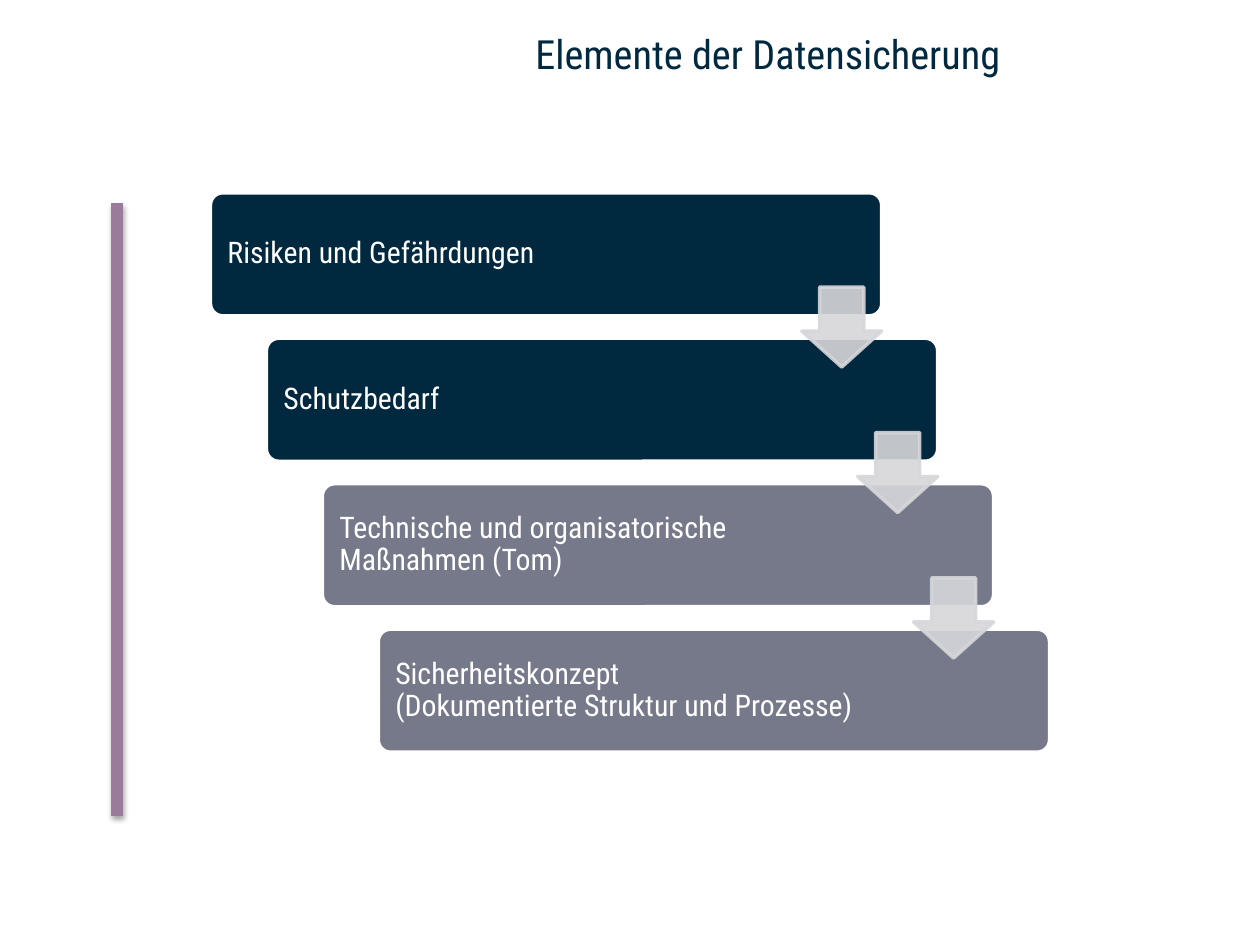
from lxml.etree import SubElement
from pptx import Presentation
from pptx.dml.color import RGBColor
from pptx.enum.shapes import MSO_CONNECTOR, MSO_SHAPE
from pptx.enum.text import MSO_ANCHOR, PP_ALIGN
from pptx.oxml.ns import qn
from pptx.util import Inches, Pt

WIDE, HIGH = Inches(10), Inches(7.5)
FONT = "Roboto Condensed"
HUES = {"navy": "00283F", "gray": "76798A", "pale": "D6D7DA",
        "mauve": "9A7B9B", "white": "FFFFFF", "black": "000000"}
STEPS = [("Risiken und Gefährdungen", "navy"),
         ("Schutzbedarf", "navy"),
         ("Technische und organisatorische Maßnahmen (Tom)", "gray"),
         ("Sicherheitskonzept\v(Dokumentierte Struktur und Prozesse)", "gray")]


def hue(name):
    return RGBColor.from_string(HUES[name])


def share(left, top, wide, high):
    """Turn shares of the slide's size into a box."""
    return int(left * WIDE), int(top * HIGH), int(wide * WIDE), int(high * HIGH)


def write(frame, text, size, color):
    frame.word_wrap = True
    frame.text = text
    para = frame.paragraphs[0]
    para.alignment = PP_ALIGN.LEFT
    for run in para.runs:
        run.font.name = FONT
        run.font.size = Pt(size)
        run.font.color.rgb = hue(color)
    return para


def paint(shape, fill, line):
    shape.shadow.inherit = False
    shape.fill.solid()
    shape.fill.fore_color.rgb = hue(fill)
    shape.line.color.rgb = hue(line)
    shape.line.width = Pt(2)


def fade(shape, part):
    """Make fill and line of a shape opaque only in part."""
    for color in shape._element.spPr.iter(qn("a:srgbClr")):
        SubElement(color, qn("a:alpha"), val=str(int(part * 100000)))


def add_title(slide, box):
    frame = slide.shapes.add_textbox(*box).text_frame
    write(frame, "Elemente der Datensicherung", 23, "navy")


def add_bar(slide, box):
    left, top, wide, high = box
    bar = slide.shapes.add_connector(MSO_CONNECTOR.STRAIGHT,
                                     left, top, left + wide, top + high)
    bar.line.color.rgb = hue("mauve")
    bar.line.width = Pt(6.5)
    effects = SubElement(bar._element.spPr, qn("a:effectLst"))
    shade = SubElement(effects, qn("a:outerShdw"), blurRad=str(Pt(3.1)),
                       dist=str(Pt(1.8)), dir="5400000", rotWithShape="0")
    color = SubElement(shade, qn("a:srgbClr"), val=HUES["black"])
    SubElement(color, qn("a:alpha"), val="35000")


def add_step(shapes, box, text, fill):
    step = shapes.add_shape(MSO_SHAPE.ROUNDED_RECTANGLE, *box)
    step.adjustments[0] = 0.1
    paint(step, fill, "white")
    frame = step.text_frame
    frame.vertical_anchor = MSO_ANCHOR.MIDDLE
    frame.margin_left = int(box[2] * 0.02)
    frame.margin_right = int(box[2] * 0.22)
    write(frame, text, 17, "white").line_spacing = 0.9


def add_arrow(shapes, box):
    arrow = shapes.add_shape(MSO_SHAPE.DOWN_ARROW, *box)
    arrow.adjustments[0] = 0.55
    arrow.adjustments[1] = 0.45
    paint(arrow, "pale", "pale")
    fade(arrow, 0.9)


def add_stairs(slide, box):
    """Steps run from corner to corner; an arrow spans each gap."""
    left, top, wide, high = box
    shapes = slide.shapes.add_group_shape().shapes
    span, rise = int(wide * 0.8), int(high * 0.22)
    last = len(STEPS) - 1
    over, down = (wide - span) // last, (high - rise) // last
    size = int(rise * 0.65)
    for i, (text, fill) in enumerate(STEPS):
        add_step(shapes, (left + i * over, top + i * down, span, rise),
                 text, fill)
    for i in range(last):
        mid = top + i * down + (rise + down) // 2
        add_arrow(shapes, (left + i * over + span - size,
                           mid - size // 2, size, size))


def main():
    deck = Presentation()
    deck.slide_width, deck.slide_height = WIDE, HIGH
    slide = deck.slides.add_slide(deck.slide_layouts[6])
    add_bar(slide, share(0.093, 0.215, 0, 0.648))
    add_title(slide, share(0.415, 0.025, 0.485, 0.145))
    add_stairs(slide, share(0.167, 0.204, 0.666, 0.592))
    deck.save("out.pptx")


if __name__ == "__main__":
    main()
